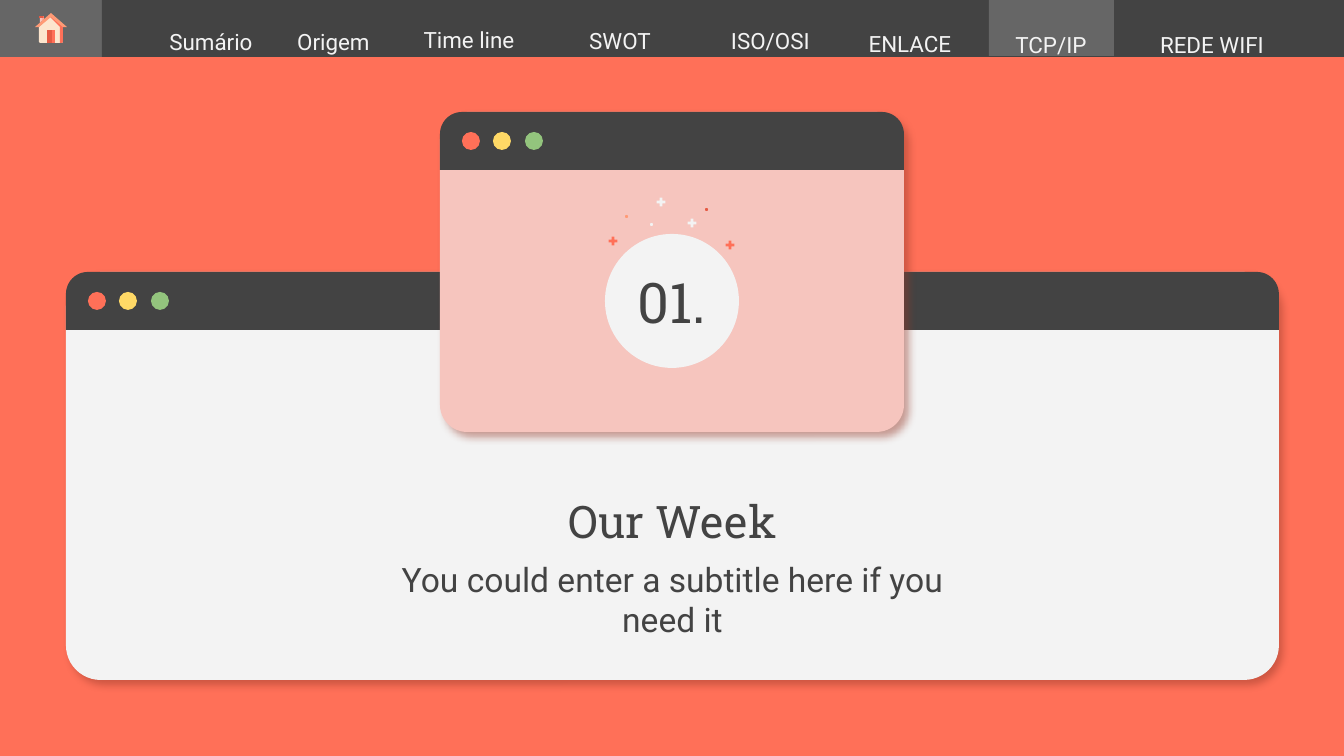
import pptx
import pptx.dml.color
import pptx.enum.shapes
import pptx.enum.text
import pptx.oxml
import pptx.oxml.ns
import pptx.util

SCALE = 914400 / 134.4
KIND = pptx.enum.shapes.MSO_SHAPE
COLORS = {
    "coral": "FF7058", "dark": "434343", "gray": "666666", "paper": "F3F3F3",
    "pink": "F6C5BE", "rose": "F9ABA0", "yellow": "FFD966", "green": "93C47D",
    "red": "E55A43", "peach": "FF9A75", "cream": "FCE5CD", "shadow": "963A2A",
}
FRAME = {
    "word_wrap": True,
    "auto_size": pptx.enum.text.MSO_AUTO_SIZE.NONE,
    "vertical_anchor": pptx.enum.text.MSO_ANCHOR.MIDDLE,
}
HEADING = {"font": "Roboto Slab", "insets": (13, 13, 13, 13)}
BODY = {"font": "Roboto", "insets": (13, 27, 13, 0), "space_after": pptx.util.Pt(16)}
NAV_LABELS = [
    ("Sumário", 151, 13, 120), ("Origem", 273, 13, 121),
    ("Time line", 396, 11, 146), ("SWOT", 544, 12, 152),
    ("ISO/OSI", 698, 12, 145), ("ENLACE", 845, 15, 130),
    ("TCP/IP", 978, 16, 146), ("REDE WIFI", 1128, 16, 168),
]
HOUSE = [
    ("pink", [(5, 4), (5, 10), (9, 6), (9, 4)]),
    ("rose", [(7, 4), (7, 9), (9, 6), (9, 4)]),
    ("cream", [(16, 3), (4, 14), (4, 29), (5, 30), (27, 30), (28, 29), (28, 14)]),
    ("coral", [(16, 3), (15, 4), (25, 14), (25, 30), (27, 30), (28, 29), (28, 14)]),
    ("red", [(4, 3), (4, 5), (9, 5), (9, 3)]),
    ("red", [(12, 17), (12, 30), (20, 30), (20, 17)]),
    ("coral", [(17, 17), (17, 30), (20, 30), (20, 17)]),
    ("peach", [(16, 0), (0, 14), (4, 14), (16, 4), (28, 14), (32, 14)]),
    ("coral", [(8, 3), (8, 5), (9, 5), (9, 3)]),
]


def px(length):
    """Turn pixels into EMU."""
    return pptx.util.Emu(round(length * SCALE))


def rgb(color):
    """Look up a named colour."""
    return pptx.dml.color.RGBColor.from_string(COLORS[color])


def paint(shape, color):
    """Give a shape a plain fill without line or shadow."""
    shape.shadow.inherit = False
    shape.fill.solid()
    shape.fill.fore_color.rgb = rgb(color)
    shape.line.fill.background()


def add_part(slide, kind, box, color, adjustments=()):
    """Add a filled preset shape."""
    part = slide.shapes.add_shape(kind, *map(px, box))
    paint(part, color)
    for index, value in enumerate(adjustments):
        part.adjustments[index] = value
    return part


def cast_shadow(shape):
    """Add a soft shadow to the lower right of a shape."""
    effects = shape.element.spPr.find(pptx.oxml.ns.qn("a:effectLst"))
    effects.append(pptx.oxml.parse_xml(
        f'<a:outerShdw {pptx.oxml.ns.nsdecls("a")} blurRad="57150" dist="48260" '
        'dir="2940000" algn="bl" rotWithShape="0">'
        f'<a:srgbClr val="{COLORS["shadow"]}"><a:alpha val="47000"/></a:srgbClr>'
        '</a:outerShdw>'))


def write(holder, wording, size, color, font, insets, **spacing):
    """Write one centred paragraph into a shape."""
    frame = holder.text_frame
    sides = ("margin_left", "margin_top", "margin_right", "margin_bottom")
    for name, value in {**FRAME, **dict(zip(sides, map(px, insets)))}.items():
        setattr(frame, name, value)
    paragraph = frame.paragraphs[0]
    paragraph.text = wording
    centred = {"alignment": pptx.enum.text.PP_ALIGN.CENTER, **spacing}
    for name, value in centred.items():
        setattr(paragraph, name, value)
    letters = paragraph.runs[0].font
    for name, value in {"name": font, "size": pptx.util.Pt(size)}.items():
        setattr(letters, name, value)
    letters.color.rgb = rgb(color)


def add_label(slide, box, *wording, **style):
    """Add a text box with one paragraph."""
    write(slide.shapes.add_textbox(*map(px, box)), *wording, **style)


def add_window(slide, box, color):
    """Draw a browser window with its bar and three buttons."""
    left, top, width, height = box
    cast_shadow(add_part(slide, KIND.ROUNDED_RECTANGLE, box, color, [0.085]))
    add_part(slide, KIND.ROUND_2_SAME_RECTANGLE, (left, top, width, 58), "dark", [0.38, 0])
    for index, button in enumerate(("coral", "yellow", "green")):
        add_part(slide, KIND.OVAL, (left + 22 + index * 63 // 2, top + 20, 18, 18), button)


def add_heading(slide, box):
    """Place the subtitle and the title above it."""
    left, top, width, height = box
    add_label(slide, (left, top + 78, width, height - 78),
              "You could enter a subtitle here if you need it", 18, "dark", **BODY)
    title = slide.shapes.title
    place = dict(zip(("left", "top", "width", "height"), map(px, (left, top, width, 89))))
    for name, value in place.items():
        setattr(title, name, value)
    write(title, "Our Week", 24, "dark", line_spacing=1.1, **HEADING)
    slide.shapes.element.append(title.element)


def add_badge(slide, box):
    """Draw the section number in a circle with confetti."""
    left, top, width, height = box
    add_part(slide, KIND.OVAL, box, "paper")
    for x, y, color in ((2, 1, "coral"), (119, 5, "coral"), (81, -17, "paper"), (50, -38, "paper")):
        add_part(slide, KIND.MATH_PLUS, (left + x, top + y, 12, 12), color, [0.235])
    for x, y, color in ((100, -26, "red"), (45, -11, "paper"), (20, -19, "peach")):
        add_part(slide, KIND.OVAL, (left + x, top + y, 3, 3), color)
    add_label(slide, (left - 11, top + 29, width + 22, 77), "01.", 30, "dark", **HEADING)


def add_house(slide, left, top):
    """Draw the home icon."""
    for color, points in HOUSE:
        outline = slide.shapes.build_freeform(*points[0], scale=SCALE)
        outline.add_line_segments(points[1:], close=True)
        paint(outline.convert_to_shape(px(left), px(top)), color)


def add_navigation(slide, box):
    """Draw the navigation bar with its tiles, icon and labels."""
    left, top, width, height = box
    home, tile = 102, 207
    add_part(slide, KIND.RECTANGLE, box, "dark")
    add_part(slide, KIND.RECTANGLE, (left, top, home, height), "gray")
    for column in (0, 1, 2, 5):
        add_part(slide, KIND.RECTANGLE, (left + home + column * tile, top, tile, height), "dark")
    add_house(slide, left + 35, top + 13)
    add_part(slide, KIND.RECTANGLE, (left + 989, top - 1, 125, 57), "gray")
    for wording, x, y, label_width in NAV_LABELS:
        add_label(slide, (left + x, top + y, label_width, 30), wording, 12, "paper", **BODY)


def main():
    """Build the section slide and save it."""
    deck = pptx.Presentation()
    deck.slide_width, deck.slide_height = px(1344), px(756)
    slide = deck.slides.add_slide(deck.slide_layouts.get_by_name("Title Only"))
    slide.background.fill.solid()
    slide.background.fill.fore_color.rgb = rgb("coral")
    add_window(slide, (66, 272, 1213, 408), "paper")
    add_heading(slide, (364, 473, 617, 147))
    add_window(slide, (440, 112, 464, 320), "pink")
    add_badge(slide, (605, 234, 134, 134))
    add_navigation(slide, (0, 0, 1344, 57))
    deck.save("out.pptx")


if __name__ == "__main__":
    main()
